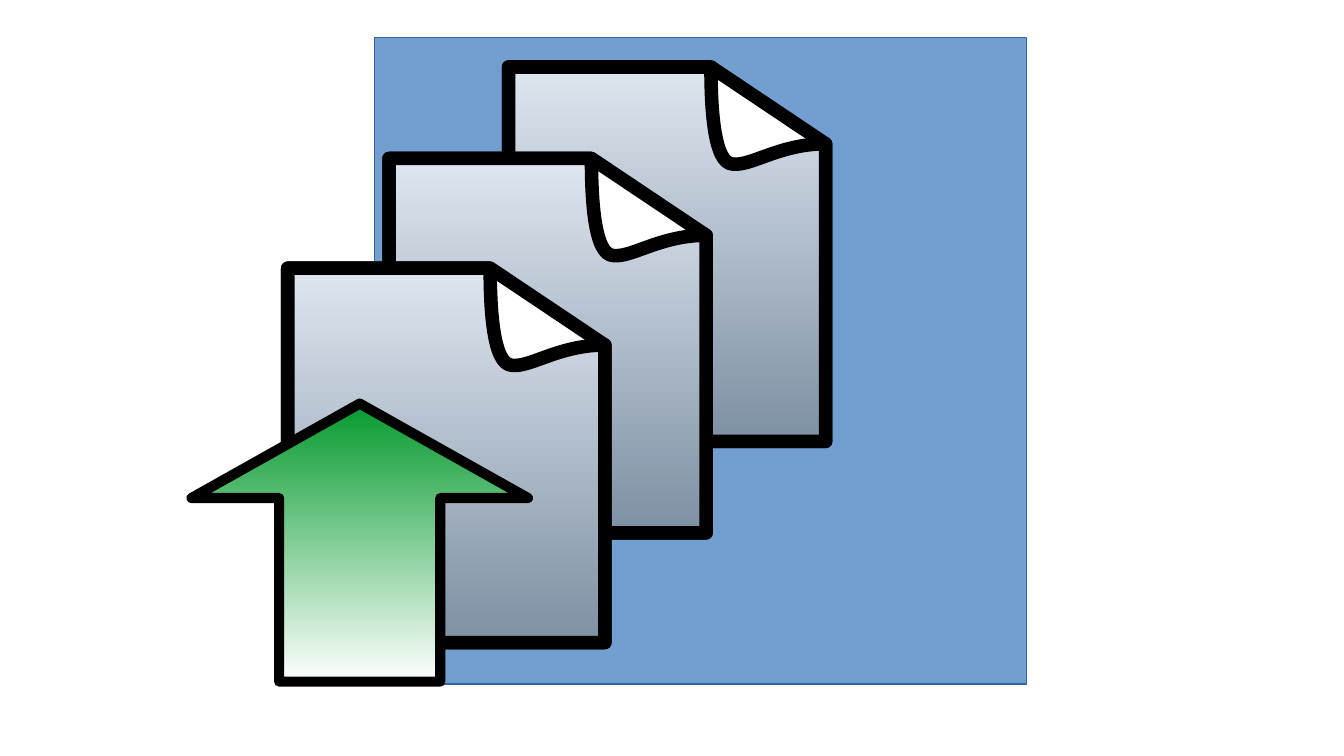
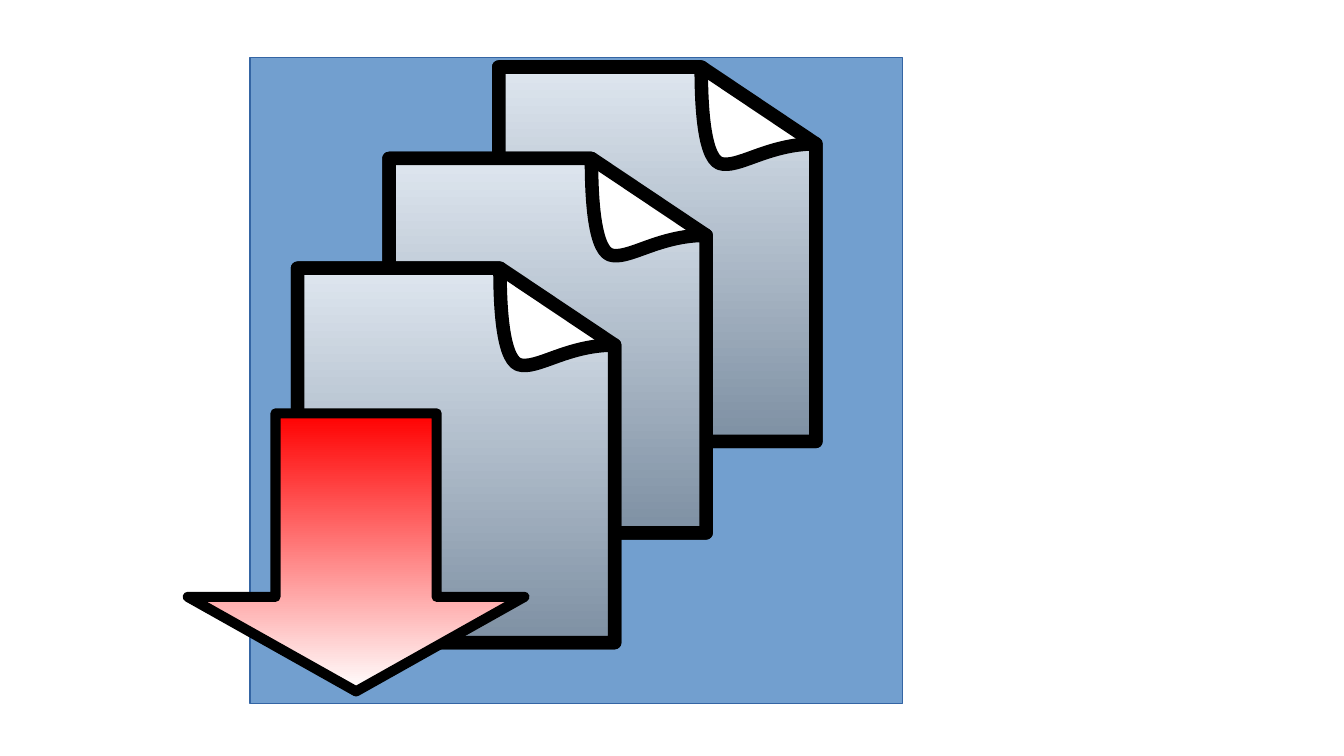
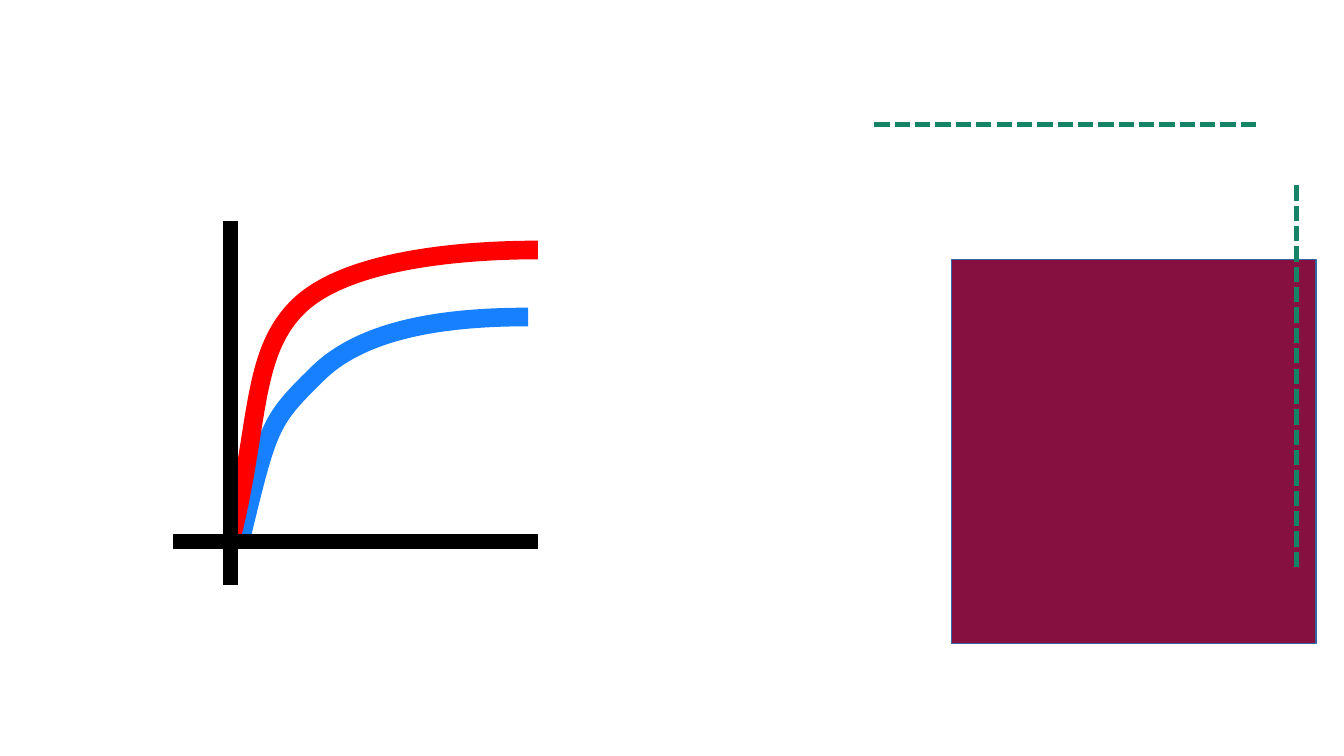
from dataclasses import dataclass

from lxml import etree
from pptx import Presentation
from pptx import util as u
from pptx.dml.color import RGBColor
from pptx.enum import dml, shapes
from pptx.oxml import ns

Point = tuple[float, float]
Segment = tuple[Point, ...]


@dataclass(frozen=True)
class Theme:
    black: str = "000000"
    white: str = "FFFFFF"
    panel: str = "729FCF"
    panel_edge: str = "3465A4"
    sheet_dark: str = "7E90A3"
    sheet_light: str = "DEE6EF"
    green: str = "069A2E"
    red: str = "FF0000"
    blue: str = "1780FF"
    wine: str = "861141"
    guide: str = "158466"
    hairline: float = 0
    guide_width: float = 3
    arrow_width: float = 6
    page_width: float = 8
    axis_width: float = 9
    curve_width: float = 11


@dataclass(frozen=True)
class Box:
    left: float
    top: float
    width: float
    height: float

    def emu(self) -> tuple[u.Length, ...]:
        return tuple(u.Inches(v) for v in (self.left, self.top, self.width, self.height))


@dataclass(frozen=True)
class Stroke:
    color: str
    width: float
    dashed: bool = False
    rounded: bool = False


@dataclass(frozen=True)
class Gradient:
    start: str
    end: str
    angle: float


@dataclass(frozen=True)
class Outline:
    start: Point
    segments: tuple[Segment, ...]
    closed: bool = True


@dataclass(frozen=True)
class PageStack:
    panel: Box
    pages: tuple[Point, ...]
    arrow: Box
    direction: shapes.MSO_SHAPE
    color: str


@dataclass(frozen=True)
class Line:
    start: Point
    end: Point
    stroke: Stroke


THEME = Theme()
EDGE = Stroke(THEME.panel_edge, THEME.hairline)
PAGE_EDGE = Stroke(THEME.black, THEME.page_width, rounded=True)
ARROW_EDGE = Stroke(THEME.black, THEME.arrow_width, rounded=True)
AXIS = Stroke(THEME.black, THEME.axis_width)
GUIDE = Stroke(THEME.guide, THEME.guide_width, dashed=True)
SHEET_FILL = Gradient(THEME.sheet_dark, THEME.sheet_light, 90)

PAGE_SIDES: tuple[Segment, ...] = (((0, 3.07),), ((2.6, 3.07),), ((2.6, 0.63),))
PAGE_BACK = Outline((0, 0), PAGE_SIDES + (((1.66, 0),),))
PAGE_FRONT = Outline((0, 0), PAGE_SIDES + (
    ((2.2, 0.63), (1.96, 0.84), (1.81, 0.79)),
    ((1.67, 0.73), (1.66, 0.24), (1.66, 0)),
))

STACKS = (
    PageStack(Box(3.07, 0.31, 5.35, 5.3), ((4.17, 0.55), (3.19, 1.3), (2.36, 2.2)),
              Box(1.57, 3.31, 2.76, 2.28), shapes.MSO_SHAPE.UP_ARROW, THEME.green),
    PageStack(Box(2.05, 0.47, 5.35, 5.3), ((4.09, 0.55), (3.19, 1.3), (2.44, 2.2)),
              Box(1.54, 3.39, 2.76, 2.28), shapes.MSO_SHAPE.DOWN_ARROW, THEME.red),
)

CURVES = (
    (THEME.blue, Outline((1.97, 4.44), (
        ((2.2, 3.5), (2.2, 3.46), (2.6, 3.07)),
        ((2.99, 2.68), (3.7, 2.6), (4.33, 2.6)),
    ), closed=False)),
    (THEME.red, Outline((1.89, 4.44), (
        ((2.13, 3.5), (2.05, 2.91), (2.44, 2.52)),
        ((2.83, 2.13), (3.78, 2.05), (4.41, 2.05)),
    ), closed=False)),
)

LINES = (
    Line((7.17, 1.02), (10.31, 1.02), GUIDE),
    Line((10.63, 4.65), (10.63, 1.5), GUIDE),
    Line((1.89, 1.81), (1.89, 4.8), AXIS),
    Line((1.42, 4.44), (4.41, 4.44), AXIS),
)


def apply_stroke(shape, stroke: Stroke) -> None:
    shape.line.color.rgb = RGBColor.from_string(stroke.color)
    shape.line.width = u.Pt(stroke.width)
    if stroke.dashed:
        shape.line.dash_style = dml.MSO_LINE.SQUARE_DOT
    if stroke.rounded:
        etree.SubElement(shape.element.spPr.find(ns.qn("a:ln")), ns.qn("a:round"))


def style(shape, fill: str | Gradient | None, stroke: Stroke) -> None:
    shape.shadow.inherit = False
    if fill is None:
        shape.fill.background()
    elif isinstance(fill, Gradient):
        shape.fill.gradient()
        shape.fill.gradient_angle = fill.angle
        for stop, color in zip(shape.fill.gradient_stops, (fill.start, fill.end)):
            stop.color.rgb = RGBColor.from_string(color)
    else:
        shape.fill.solid()
        shape.fill.fore_color.rgb = RGBColor.from_string(fill)
    apply_stroke(shape, stroke)


def add_preset(slide, kind: shapes.MSO_SHAPE, box: Box, fill: str | Gradient, stroke: Stroke):
    shape = slide.shapes.add_shape(kind, *box.emu())
    style(shape, fill, stroke)
    return shape


def add_outline(container, outline: Outline, fill: str | Gradient | None,
                stroke: Stroke, offset: Point = (0, 0)) -> None:
    def place(point: Point) -> tuple[u.Length, u.Length]:
        return u.Inches(point[0] + offset[0]), u.Inches(point[1] + offset[1])

    builder = container.shapes.build_freeform(*place(outline.start))
    points = [place(point) for segment in outline.segments for point in segment]
    builder.add_line_segments(points, close=outline.closed)
    shape = builder.convert_to_shape()
    steps = iter(list(shape.element.iter(ns.qn("a:lnTo"))))
    for segment in outline.segments:
        first, *others = [next(steps) for _ in segment]
        if others:
            first.tag = ns.qn("a:cubicBezTo")
            for step in others:
                first.append(step[0])
                step.getparent().remove(step)
    style(shape, fill, stroke)


def add_line(slide, line: Line) -> None:
    ends = [u.Inches(value) for value in line.start + line.end]
    connector = slide.shapes.add_connector(shapes.MSO_CONNECTOR.STRAIGHT, *ends)
    apply_stroke(connector, line.stroke)
    etree.SubElement(connector.element.spPr, ns.qn("a:effectLst"))


def add_page(slide, corner: Point) -> None:
    page = slide.shapes.add_group_shape()
    add_outline(page, PAGE_BACK, THEME.white, PAGE_EDGE, corner)
    add_outline(page, PAGE_FRONT, SHEET_FILL, PAGE_EDGE, corner)


def draw_stack(slide, stack: PageStack) -> None:
    add_preset(slide, shapes.MSO_SHAPE.RECTANGLE, stack.panel, THEME.panel, EDGE)
    for corner in stack.pages:
        add_page(slide, corner)
    arrow = add_preset(slide, stack.direction, stack.arrow,
                       Gradient(stack.color, THEME.white, 270), ARROW_EDGE)
    arrow.adjustments[0] = 0.479
    arrow.adjustments[1] = 0.34


def draw_curves(slide) -> None:
    for color, outline in CURVES:
        add_outline(slide, outline, None, Stroke(color, THEME.curve_width))
    add_preset(slide, shapes.MSO_SHAPE.RECTANGLE, Box(7.8, 2.13, 2.99, 3.15), THEME.wine, EDGE)
    for line in LINES:
        add_line(slide, line)


def main() -> None:
    presentation = Presentation()
    presentation.slide_width = u.Inches(11.02)
    presentation.slide_height = u.Inches(6.2)
    blank = presentation.slide_layouts[6]
    for stack in STACKS:
        draw_stack(presentation.slides.add_slide(blank), stack)
    draw_curves(presentation.slides.add_slide(blank))
    presentation.save("out.pptx")


main()
